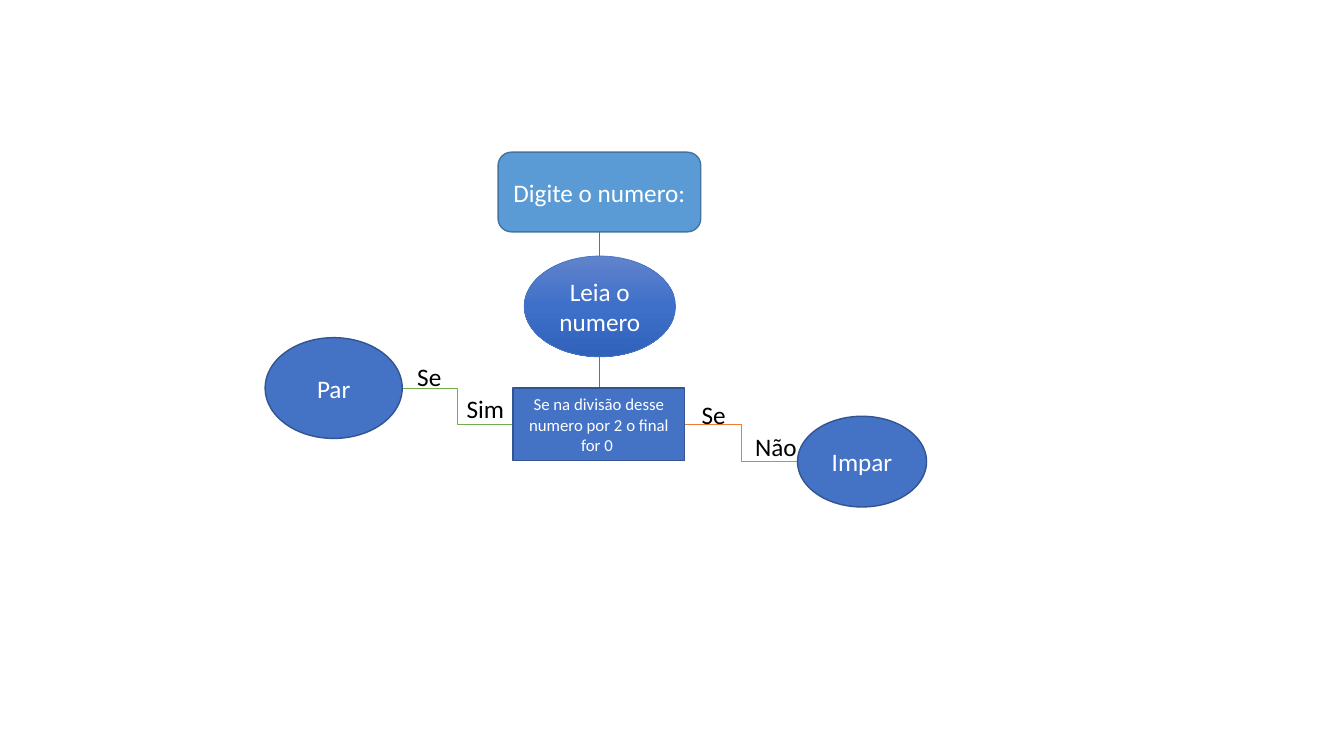
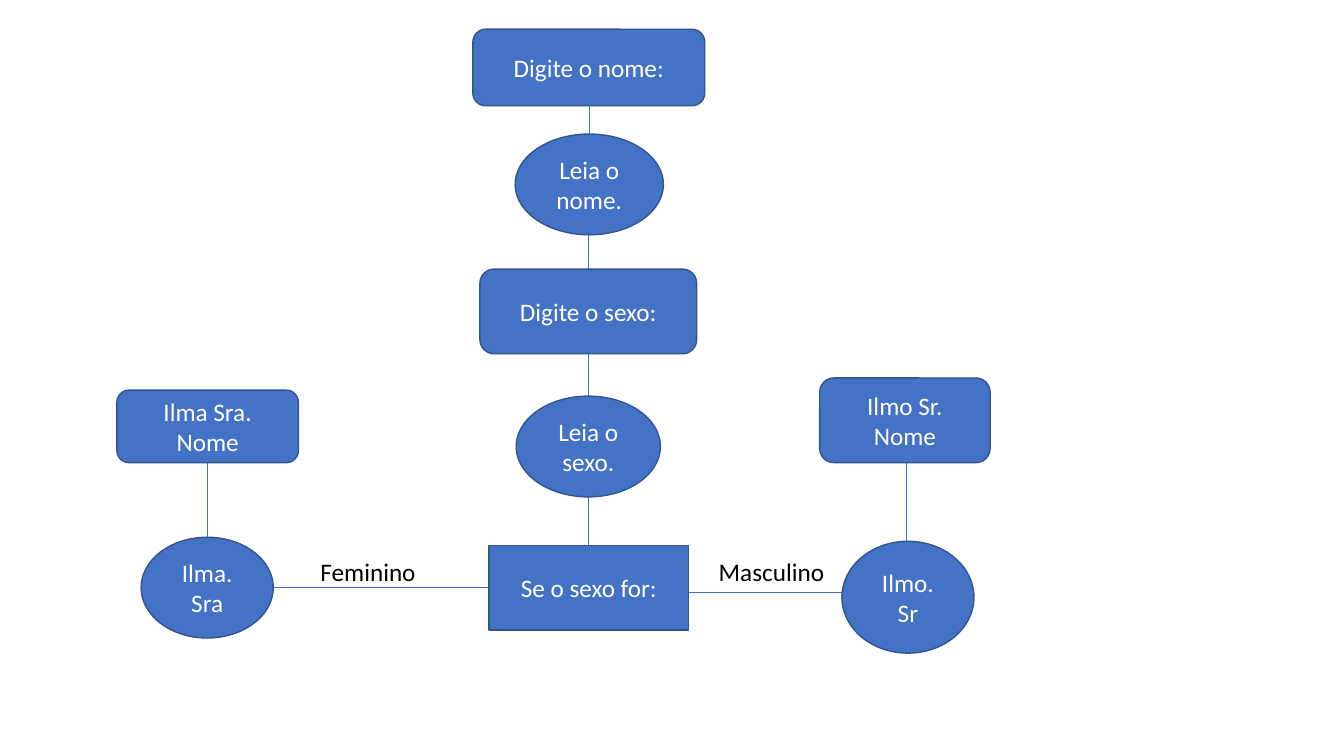
from copy import deepcopy
from pptx import Presentation
from pptx.util import Inches, Pt
from pptx.dml.color import RGBColor
from pptx.enum.shapes import MSO_SHAPE as Shape, MSO_CONNECTOR as Wire
from pptx.enum.text import PP_ALIGN as Align, MSO_ANCHOR as Anchor, MSO_AUTO_SIZE as Auto
from pptx.oxml.ns import qn
from pptx.oxml import parse_xml

BLUE = RGBColor(0x44, 0x72, 0xC4)
NAVY = RGBColor(0x32, 0x54, 0x91)
SKY = RGBColor(0x5B, 0x9B, 0xD5)
STEEL = RGBColor(0x43, 0x73, 0x9E)
GREEN = RGBColor(0x70, 0xAD, 0x47)
ORANGE = RGBColor(0xED, 0x7D, 0x31)
WHITE = RGBColor(0xFF, 0xFF, 0xFF)
BLACK = RGBColor(0, 0, 0)
FADE = [RGBColor(0x61, 0x83, 0xCB), RGBColor(0x3E, 0x70, 0xCA), RGBColor(0x30, 0x62, 0xBB)]
FONT = "Calibri"
ROUND, OVAL, RECT = Shape.ROUNDED_RECTANGLE, Shape.OVAL, Shape.RECTANGLE

# Nodes: name -> (kind, text, (left, top, width, height), style changes)
# Links: (from, to, colour, elbow); labels: (text, left, top, width)
PARITY = {
    "nodes": {
        "ask": (ROUND, "Digite o numero:", (4.94, 1.51, 2.01, 0.79),
                {"fill": SKY, "edge": STEEL}),
        "read": (OVAL, "Leia o numero", (5.2, 2.54, 1.5, 1),
                 {"fill": FADE, "edge": BLUE, "weight": 0.5}),
        "test": (RECT, "Se na divisão desse numero por 2 o final for 0 ",
                 (5.09, 3.85, 1.7, 0.72), {"size": 12}),
        "even": (OVAL, "Par", (2.63, 3.35, 1.36, 1), {}),
        "odd": (OVAL, "Impar", (7.91, 4.13, 1.28, 0.9), {}),
    },
    "links": [
        ("ask", "read", BLUE, False),
        ("read", "test", BLUE, False),
        ("test", "even", GREEN, True),
        ("test", "odd", ORANGE, True),
    ],
    "labels": [
        ("Se ", 4.04, 3.54, 0.5), ("Sim", 4.53, 3.85, 0.58),
        ("Se", 6.86, 3.91, 0.44), ("Não", 7.39, 4.23, 0.62),
    ],
}
TITLES = {
    "nodes": {
        "ask name": (ROUND, "Digite o nome:", (4.69, 0.29, 2.3, 0.76), {}),
        "read name": (OVAL, "Leia o nome.", (5.11, 1.33, 1.47, 1), {}),
        "ask sex": (ROUND, "Digite o sexo:", (4.76, 2.67, 2.15, 0.84), {}),
        "read sex": (OVAL, "Leia o sexo.", (5.12, 3.93, 1.43, 1), {}),
        "test": (RECT, "Se o sexo for:", (4.85, 5.41, 1.98, 0.84), {}),
        "her": (OVAL, "Ilma. Sra", (1.4, 5.33, 1.31, 1), {}),
        "her name": (ROUND, "Ilma Sra. Nome", (1.16, 3.87, 1.8, 0.72), {}),
        "him": (OVAL, "Ilmo. Sr", (8.35, 5.37, 1.31, 1.11), {}),
        "his name": (ROUND, "Ilmo Sr. Nome", (8.13, 3.75, 1.69, 0.84), {}),
    },
    "links": [
        ("ask name", "read name", BLUE, False),
        ("read name", "ask sex", BLUE, False),
        ("ask sex", "read sex", BLUE, False),
        ("read sex", "test", BLUE, False),
        ("test", "her", BLUE, False),
        ("her", "her name", BLUE, False),
        ("test", "him", BLUE, False),
        ("him", "his name", BLUE, False),
    ],
    "labels": [("Feminino", 3.08, 5.47, 1.16), ("Masculino", 7.03, 5.47, 1.26)],
}


def write(frame, text, size, color):
    frame.text = text
    para = frame.paragraphs[0]
    para.font.name, para.font.size = FONT, Pt(size)
    para.font.color.rgb = color
    return para


def shade(shape, tones):
    """Fill from top to bottom with three evenly spaced tones."""
    fill = shape.fill
    fill.gradient()
    fill.gradient_angle = 270
    stops = shape._element.spPr.find(qn("a:gradFill")).find(qn("a:gsLst"))
    stops.append(deepcopy(stops[-1]))
    for i, (stop, tone) in enumerate(zip(fill.gradient_stops, tones)):
        stop.position = i / 2
        stop.color.rgb = tone


def add_node(slide, kind, text, box, fill=BLUE, edge=NAVY, weight=1, size=18):
    node = slide.shapes.add_shape(kind, *map(Inches, box))
    node.shadow.inherit = False
    if isinstance(fill, list):
        shade(node, fill)
    else:
        node.fill.solid()
        node.fill.fore_color.rgb = fill
    node.line.color.rgb, node.line.width = edge, Pt(weight)
    node.text_frame.word_wrap = True
    node.text_frame.vertical_anchor = Anchor.MIDDLE
    write(node.text_frame, text, size, WHITE).alignment = Align.CENTER


def span(a, a_size, b, b_size):
    """Return the facing edges of two intervals."""
    return (a + a_size, b) if a < b else (a, b + b_size)


def add_link(slide, one, two, color, elbow):
    (ax, ay, aw, ah), (bx, by, bw, bh) = one, two
    mid_a, mid_b = ay + ah / 2, by + bh / 2
    if ax + aw < bx or bx + bw < ax:  # side by side
        x1, x2 = span(ax, aw, bx, bw)
        y1, y2 = (mid_a, mid_b) if elbow else [(mid_a + mid_b) / 2] * 2
    else:  # stacked
        x1 = x2 = (ax + aw / 2 + bx + bw / 2) / 2
        y1, y2 = span(ay, ah, by, bh)
    kind = Wire.ELBOW if elbow else Wire.STRAIGHT
    wire = slide.shapes.add_connector(kind, *map(Inches, (x1, y1, x2, y2)))
    wire.line.color.rgb, wire.line.width = color, Pt(0.5)
    wire._element.spPr.append(parse_xml(
        '<a:effectLst xmlns:a="http://schemas.openxmlformats.org/drawingml/2006/main"/>'))


def add_label(slide, text, left, top, width):
    box = slide.shapes.add_textbox(*map(Inches, (left, top, width, 0.4)))
    box.text_frame.word_wrap = False
    box.text_frame.auto_size = Auto.SHAPE_TO_FIT_TEXT
    write(box.text_frame, text, 18, BLACK)


# Build the slides
deck = Presentation()
deck.slide_width, deck.slide_height = Inches(13.33), Inches(7.5)
for chart in (PARITY, TITLES):
    slide = deck.slides.add_slide(deck.slide_layouts[6])
    nodes = chart["nodes"]
    for start, end, color, elbow in chart["links"]:
        add_link(slide, nodes[start][2], nodes[end][2], color, elbow)
    for kind, text, box, style in nodes.values():
        add_node(slide, kind, text, box, **style)
    for label in chart["labels"]:
        add_label(slide, *label)
deck.save("out.pptx")
